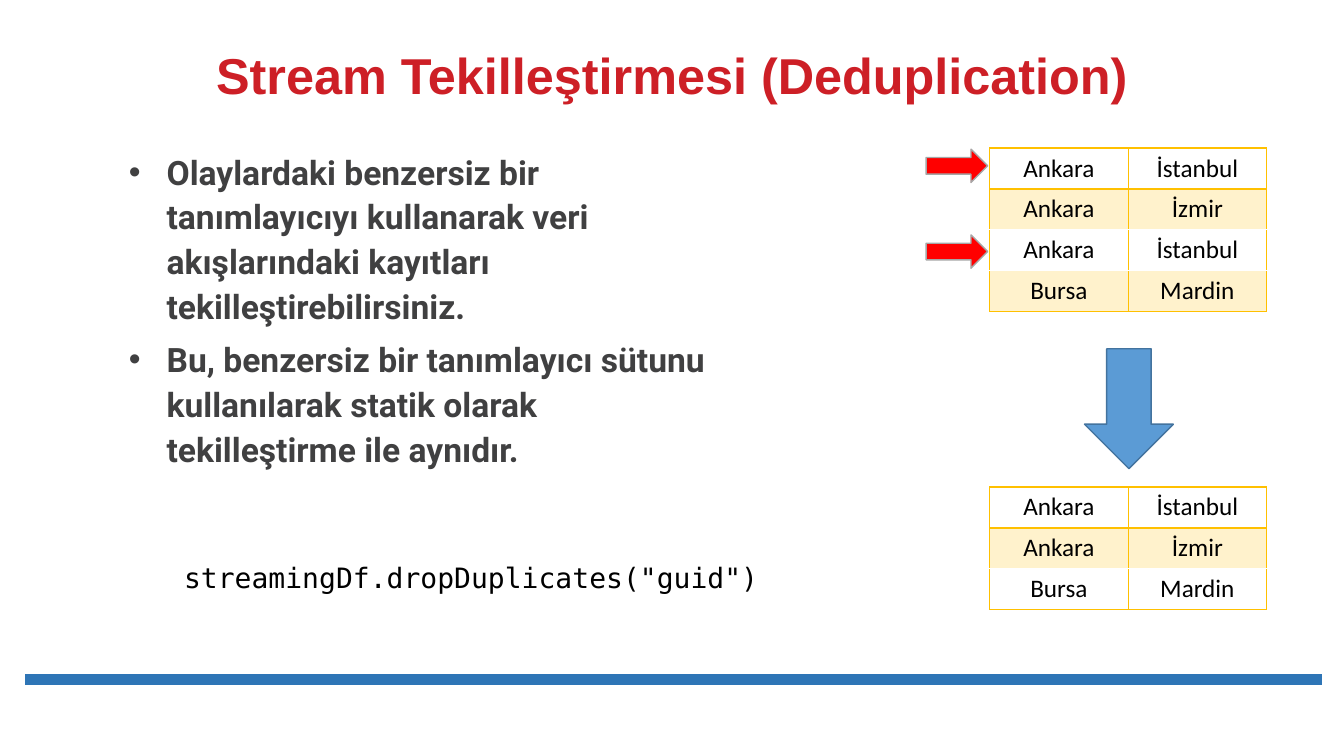
from dataclasses import dataclass

from lxml import etree
from pptx import Presentation
from pptx import util as u
from pptx.dml.color import RGBColor
from pptx.enum import shapes, text
from pptx.oxml import ns

Cm, Pt = u.Cm, u.Pt


@dataclass(frozen=True)
class Theme:
    title: str = "CD1F26"
    body: str = "404041"
    ink: str = "000000"
    rule: str = "2E75B6"
    grid: str = "FFC000"
    down_fill: str = "5B9BD5"
    down_line: str = "43739E"
    mark_fill: str = "FF0000"
    mark_line: str = "A6A6A6"
    title_size: int = 36
    body_size: int = 24
    code_size: int = 20
    cell_size: int = 18


THEME = Theme()


def rgb(code):
    return RGBColor.from_string(code)


def add_child(parent, tag, **attributes):
    return etree.SubElement(parent, ns.qn(tag), attributes)


def write(para, words, *, font, size, color, bold=False, align=None,
          spacing=None, after=None):
    """Put one formatted span into a paragraph."""
    span = para.add_run()
    span.text = words
    span.font.name, span.font.size, span.font.bold = font, Pt(size), bold
    span.font.color.rgb = rgb(color)
    para.alignment = align
    para.line_spacing = spacing
    para.space_after = after


def add_bullet(para):
    properties = para._p.get_or_add_pPr()
    properties.set("marL", str(Cm(0.95)))
    properties.set("indent", str(-Cm(0.95)))
    add_child(properties, "a:buFont", typeface="Arial")
    add_child(properties, "a:buChar", char="•")


def add_text(page, paragraphs, left, top, width, height, *, bullets=False,
             anchor=text.MSO_ANCHOR.TOP, **style):
    box = page.shapes.add_textbox(Cm(left), Cm(top), Cm(width), Cm(height))
    frame = box.text_frame
    frame.word_wrap = True
    frame.vertical_anchor = anchor
    for index, words in enumerate(paragraphs):
        para = frame.add_paragraph() if index else frame.paragraphs[0]
        write(para, words, **style)
        if bullets:
            add_bullet(para)


def add_arrow(page, kind, left, top, width, height, fill, line):
    arrow = page.shapes.add_shape(kind, Cm(left), Cm(top), Cm(width), Cm(height))
    arrow.shadow.inherit = False
    arrow.fill.solid()
    arrow.fill.fore_color.rgb = rgb(fill)
    arrow.line.color.rgb = rgb(line)
    arrow.line.width = Pt(1)


def add_rule(page, left, right, y):
    rule = page.shapes.add_connector(
        shapes.MSO_CONNECTOR.STRAIGHT, Cm(left), Cm(y), Cm(right), Cm(y))
    rule.line.color.rgb = rgb(THEME.rule)
    rule.line.width = Pt(8)
    add_child(rule._element.spPr, "a:effectLst")


def style_cell(cell, row):
    """Borders on every side, a heavier one below the first row, tint on odd rows."""
    properties = cell._tc.get_or_add_tcPr()
    widths = {"a:lnL": 1, "a:lnR": 1, "a:lnT": 1, "a:lnB": 1}
    if row == 0:
        widths["a:lnB"] = 2
    else:
        del widths["a:lnT"]
    for side, width in widths.items():
        border = add_child(properties, side, w=str(Pt(width)))
        paint = add_child(border, "a:solidFill")
        add_child(paint, "a:srgbClr", val=THEME.grid)
    if row % 2:
        cell.fill.solid()
        cell.fill.fore_color.rgb = rgb(THEME.grid)
        tint = properties.find(ns.qn("a:solidFill")).find(ns.qn("a:srgbClr"))
        add_child(tint, "a:alpha", val="20000")
    else:
        cell.fill.background()


def add_city_table(page, records, left, top, column=3.49, row_height=1.03):
    frame = page.shapes.add_table(
        len(records), 2, Cm(left), Cm(top),
        Cm(2 * column), Cm(len(records) * row_height))
    table = frame.table
    table.first_row = table.horz_banding = False
    for row, record in enumerate(records):
        for col, city in enumerate(record):
            cell = table.cell(row, col)
            write(cell.text_frame.paragraphs[0], city, font="Calibri",
                  size=THEME.cell_size, color=THEME.ink,
                  align=text.PP_ALIGN.CENTER)
            style_cell(cell, row)


def main():
    deck = Presentation()
    deck.slide_width, deck.slide_height = Cm(33.87), Cm(19.05)
    page = deck.slides.add_slide(deck.slide_layouts[6])

    # Footer rule and title
    add_rule(page, 0.64, 33.32, 17.12)
    add_text(page, ["Stream Tekilleştirmesi (Deduplication)"],
             4.85, 1.04, 24.18, 1.75, anchor=text.MSO_ANCHOR.BOTTOM,
             font="Arial", size=THEME.title_size, color=THEME.title, bold=True,
             align=text.PP_ALIGN.CENTER, spacing=0.9)

    # Explanation and code
    add_text(page, [
        "Olaylardaki benzersiz bir tanımlayıcıyı kullanarak veri akışlarındaki "
        "kayıtları tekilleştirebilirsiniz.",
        "Bu, benzersiz bir tanımlayıcı sütunu kullanılarak statik olarak "
        "tekilleştirme ile aynıdır.",
    ], 3, 3.58, 15.11, 8.36, bullets=True, font="Roboto", size=THEME.body_size,
        color=THEME.body, bold=True, spacing=Pt(32), after=Pt(6))
    add_text(page, ['streamingDf.dropDuplicates("guid")'],
             4.39, 13.16, 15.52, 1.73, font="DejaVu Sans Mono",
             size=THEME.code_size, color=THEME.ink, spacing=2.0)

    # Records before and after deduplication
    repeated = ("Ankara", "İstanbul")
    unique = [repeated, ("Ankara", "İzmir"), ("Bursa", "Mardin")]
    add_city_table(page, unique[:2] + [repeated] + unique[2:], 24.94, 3.73)
    add_city_table(page, unique, 24.94, 12.27)

    # Step arrow and markers on the repeated records
    add_arrow(page, shapes.MSO_SHAPE.DOWN_ARROW, 27.33, 8.79, 2.24, 3.02,
              THEME.down_fill, THEME.down_line)
    for top in (3.76, 5.92):
        add_arrow(page, shapes.MSO_SHAPE.RIGHT_ARROW, 23.34, top, 1.55, 0.84,
                  THEME.mark_fill, THEME.mark_line)

    deck.save("out.pptx")


if __name__ == "__main__":
    main()
